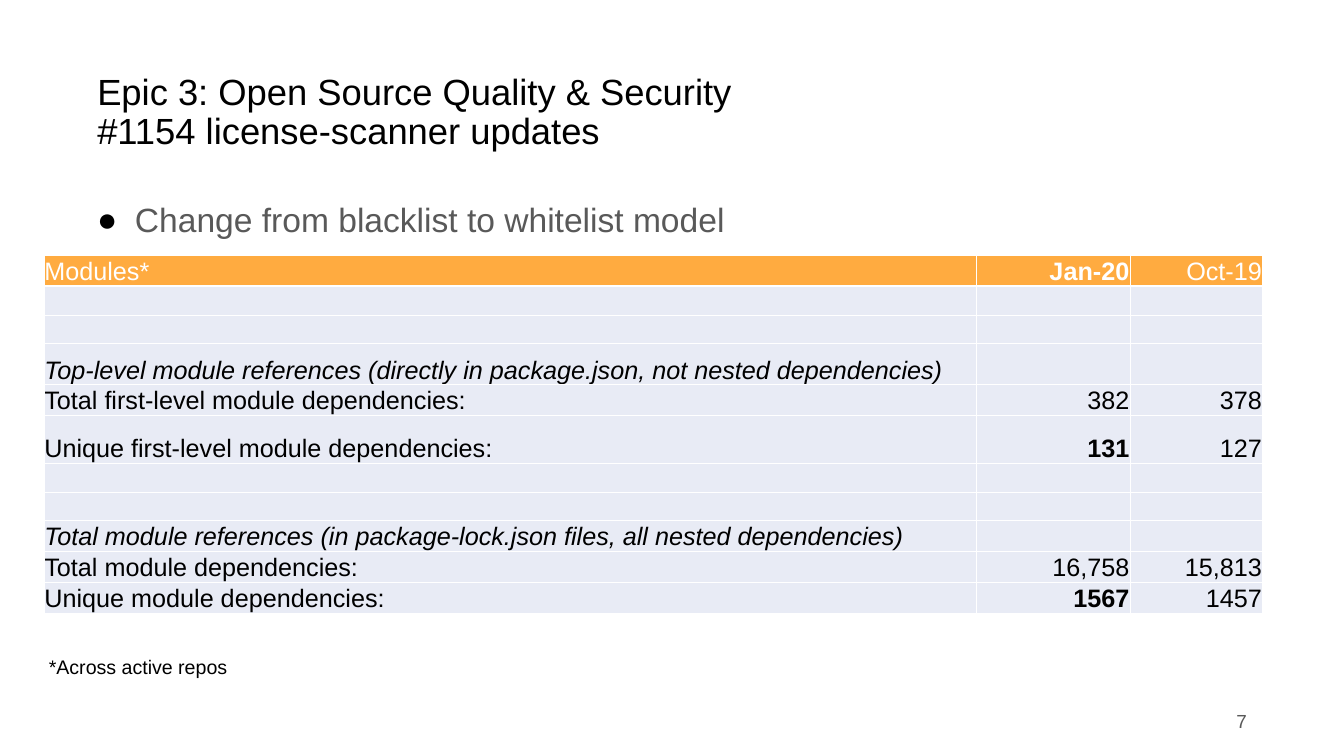
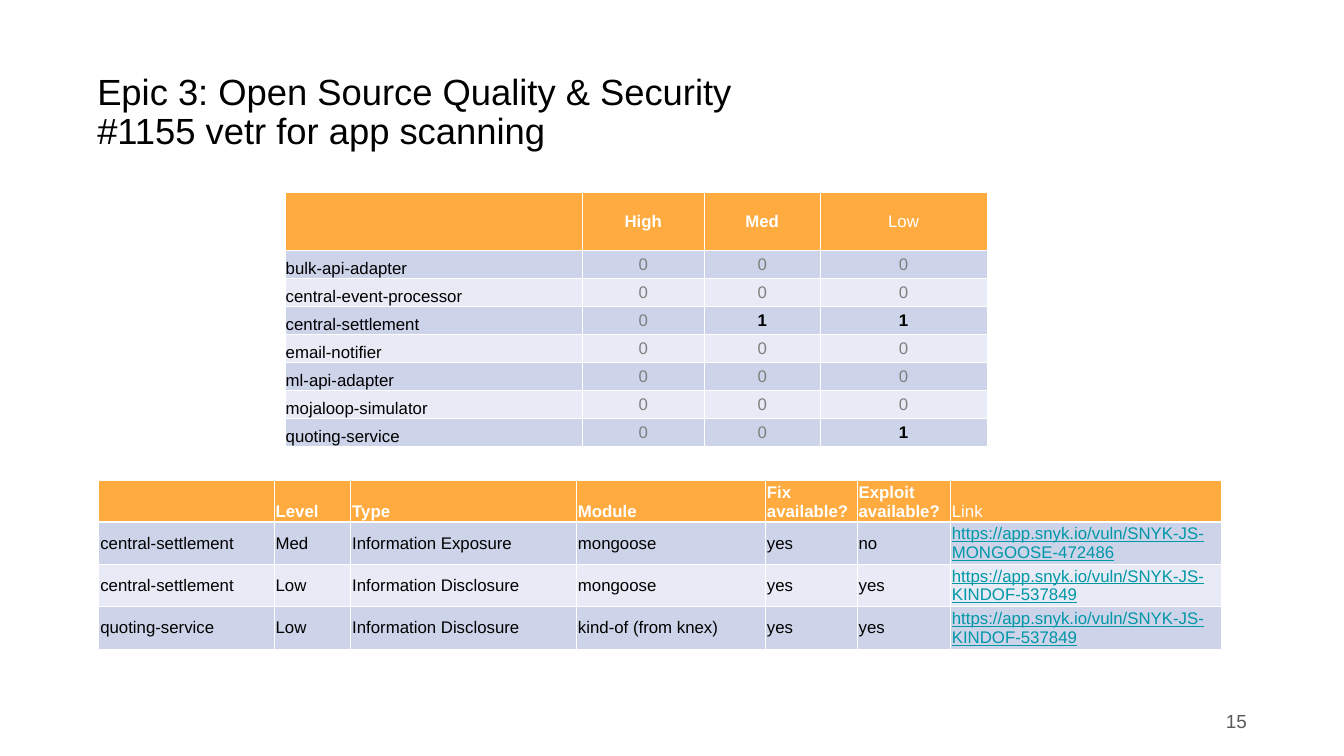
from lxml import etree
from pptx import Presentation
from pptx import util as u
from pptx.dml.color import RGBColor
from pptx.enum import text
from pptx.oxml.ns import qn

ORANGE, LAVENDER, PERIWINKLE = "FFAB40", "E8EBF5", "CDD4EA"
WHITE, BLACK, GRAY, MUTED, TEAL = "FFFFFF", "000000", "595959", "7F7F7F", "0097A7"
LEFT, CENTER, RIGHT = text.PP_ALIGN.LEFT, text.PP_ALIGN.CENTER, text.PP_ALIGN.RIGHT
MIDDLE, BOTTOM = text.MSO_ANCHOR.MIDDLE, text.MSO_ANCHOR.BOTTOM


def write(paragraph, words, size, color, align=LEFT, **formats):
    paragraph.text = words
    paragraph.alignment = align
    for run in paragraph.runs:
        values = {"name": "Arial", "size": u.Pt(size), "bold": False, **formats}
        for name, value in values.items():
            setattr(run.font, name, value)
        run.font.color.rgb = RGBColor.from_string(color)


def add_grid(slide, left, top, widths, heights, rows, size, margins, bands, bold,
             align, header_anchor, first_anchor, anchor):
    frame = slide.shapes.add_table(len(rows), len(widths), u.Inches(left), u.Inches(top),
                                   u.Inches(sum(widths)), u.Inches(sum(heights)))
    table = frame.table
    table.first_row = table.horz_banding = False
    for column, width in zip(table.columns, widths):
        column.width = u.Inches(width)
    for r, (row, height) in enumerate(zip(rows, heights)):
        table.rows[r].height = u.Inches(height)
        for c, words in enumerate(row):
            cell = table.cell(r, c)
            for side, margin in zip(("left", "top", "right", "bottom"), margins):
                setattr(cell, f"margin_{side}", u.Inches(margin))
            cell.vertical_anchor = header_anchor if r == 0 else anchor if c else first_anchor
            properties = cell._tc.get_or_add_tcPr()
            for edge in ("lnL", "lnR", "lnT", "lnB"):
                thick = (r == 0 and edge == "lnB") or (r == 1 and edge == "lnT")
                line = etree.SubElement(properties, qn(f"a:{edge}"), w=str(u.Pt(3 if thick else 1)))
                fill = etree.SubElement(line, qn("a:solidFill"))
                etree.SubElement(fill, qn("a:srgbClr"), val=WHITE)
            cell.fill.solid()
            cell.fill.fore_color.rgb = RGBColor.from_string(ORANGE if r == 0 else bands[(r - 1) % len(bands)])
            if words:
                link = words.startswith("https")
                color = WHITE if r == 0 else TEAL if link else MUTED if words == "0" else BLACK
                write(cell.text_frame.paragraphs[0], words, size, color, align if c else LEFT,
                      bold=words in bold and (r == 0 or words.isdigit()),
                      italic="module references" in words, underline=link)


presentation = Presentation()
presentation.slide_width = u.Inches(26.67)
presentation.slide_height = u.Inches(15)

slides = []
for subject, number in (("#1154 license-scanner updates", "7"), ("#1155 vetr for app scanning", "15")):
    slide = presentation.slides.add_slide(presentation.slide_layouts[5])
    slides.append(slide)
    title = slide.shapes.title
    title.left, title.top, title.width, title.height = map(u.Inches, (1.83, 0.8, 23, 2.9))
    title.text_frame.word_wrap = True
    title.text_frame.vertical_anchor = MIDDLE
    paragraph = title.text_frame.paragraphs[0]
    write(paragraph, f"Epic 3: Open Source Quality & Security\n{subject}", 52, BLACK)
    paragraph.line_spacing = 0.9
    page = slide.shapes.add_textbox(*map(u.Inches, (18.84, 13.9, 6, 0.8))).text_frame
    page.word_wrap = True
    page.vertical_anchor = MIDDLE
    write(page.paragraphs[0], number, 27, GRAY, RIGHT)

license_slide, scan_slide = slides

body = license_slide.shapes.add_textbox(*map(u.Inches, (1.83, 3.99, 23, 9.52))).text_frame
body.word_wrap = True
paragraph = body.paragraphs[0]
properties = paragraph._p.get_or_add_pPr()
properties.set("marL", str(u.Inches(0.75)))
properties.set("indent", str(-u.Inches(0.75)))
bullet_color = etree.SubElement(properties, qn("a:buClr"))
etree.SubElement(bullet_color, qn("a:srgbClr"), val=BLACK)
etree.SubElement(properties, qn("a:buFont"), typeface="Arial")
etree.SubElement(properties, qn("a:buChar"), char="●")
write(paragraph, "Change from blacklist to whitelist model", 48, GRAY)
paragraph.line_spacing = 0.9

blank = ("", "", "")
module_rows = [
    ("Modules*", "Jan-20", "Oct-19"),
    blank,
    blank,
    ("Top-level module references (directly in package.json, not nested dependencies)", "", ""),
    ("Total first-level module dependencies:", "382", "378"),
    ("Unique first-level module dependencies:", "131", "127"),
    blank,
    blank,
    ("Total module references (in package-lock.json files, all nested dependencies)", "", ""),
    ("Total module dependencies:", "16,758", "15,813"),
    ("Unique module dependencies:", "1567", "1457"),
]
add_grid(license_slide, 0.87, 5.07, (18.51, 3.04, 2.63),
         [0.57] * 3 + [0.81, 0.57, 0.95] + [0.57] * 5, module_rows, 36,
         (0.01, 0.01, 0.01, 0), [LAVENDER], {"Jan-20", "131", "1567"},
         RIGHT, BOTTOM, BOTTOM, BOTTOM)

footnote = license_slide.shapes.add_textbox(*map(u.Inches, (0.87, 12.94, 19.24, 0.57))).text_frame
footnote.word_wrap = True
write(footnote.paragraphs[0], "*Across active repos", 28, BLACK)

severity_rows = [
    ("", "High", "Med", "Low"),
    ("bulk-api-adapter", "0", "0", "0"),
    ("central-event-processor", "0", "0", "0"),
    ("central-settlement", "0", "1", "1"),
    ("email-notifier", "0", "0", "0"),
    ("ml-api-adapter", "0", "0", "0"),
    ("mojaloop-simulator", "0", "0", "0"),
    ("quoting-service", "0", "0", "1"),
]
add_grid(scan_slide, 5.66, 3.81, (5.89, 2.43, 2.29, 3.32), [1.16] + [0.555] * 7,
         severity_rows, 24, (0.01, 0.01, 0.01, 0), [PERIWINKLE, LAVENDER],
         {"High", "Med", "1"}, CENTER, MIDDLE, BOTTOM, MIDDLE)

kind_of_link = "https://app.snyk.io/vuln/SNYK-JS-KINDOF-537849"
finding_rows = [
    ("", "Level", "Type", "Module", "Fix available?", "Exploit available?", "Link"),
    ("central-settlement", "Med", "Information Exposure", "mongoose", "yes", "no",
     "https://app.snyk.io/vuln/SNYK-JS-MONGOOSE-472486"),
    ("central-settlement", "Low", "Information Disclosure", "mongoose", "yes", "yes", kind_of_link),
    ("quoting-service", "Low", "Information Disclosure", "kind-of (from knex)", "yes", "yes", kind_of_link),
]
add_grid(scan_slide, 1.96, 9.52, (3.48, 1.52, 4.48, 3.75, 1.82, 1.85, 5.38),
         [0.77] + [0.82] * 3, finding_rows, 24, (0.03, 0.02, 0.03, 0.02),
         [PERIWINKLE, LAVENDER], set(finding_rows[0][:-1]), LEFT, BOTTOM, MIDDLE, MIDDLE)

presentation.save("out.pptx")
